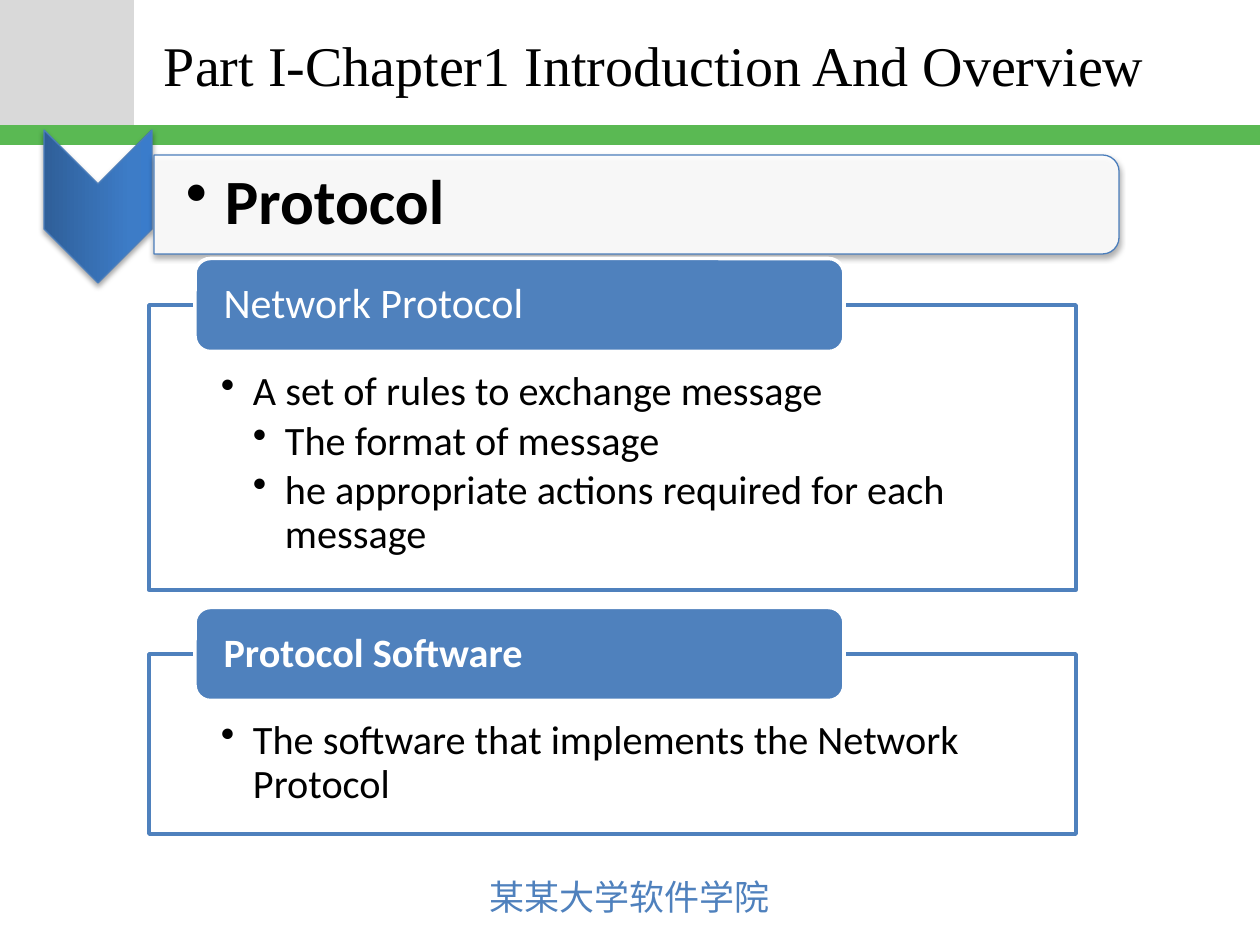
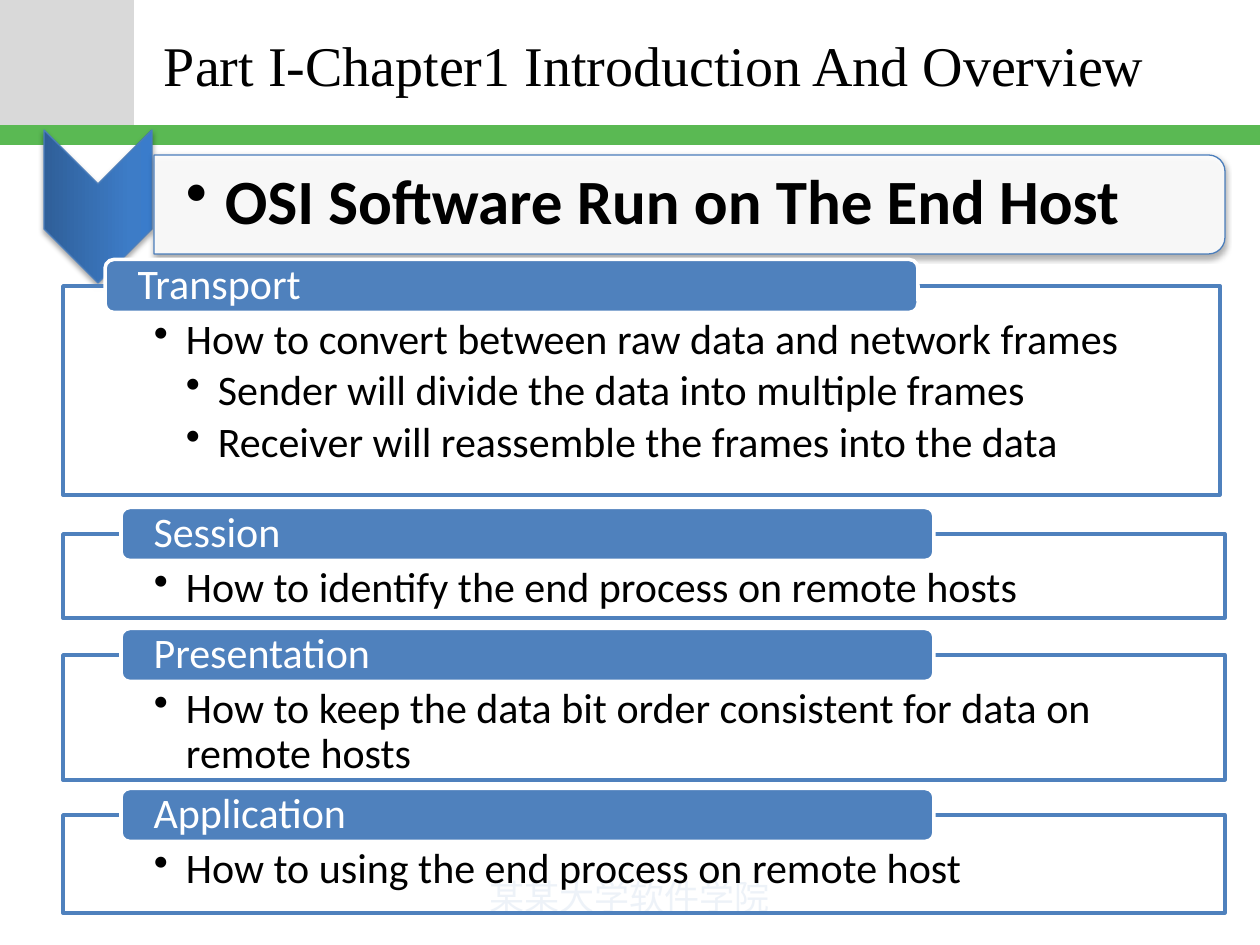
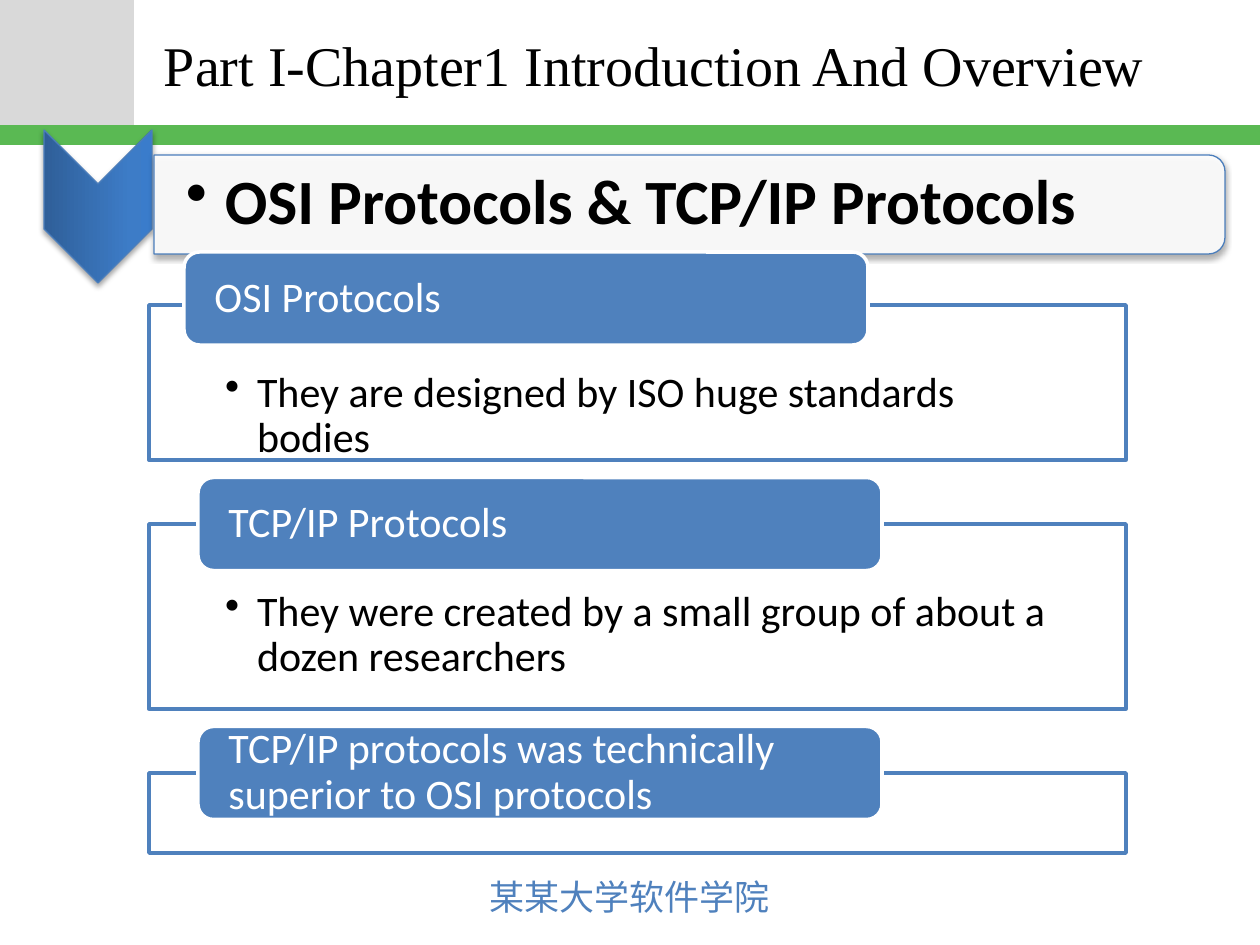
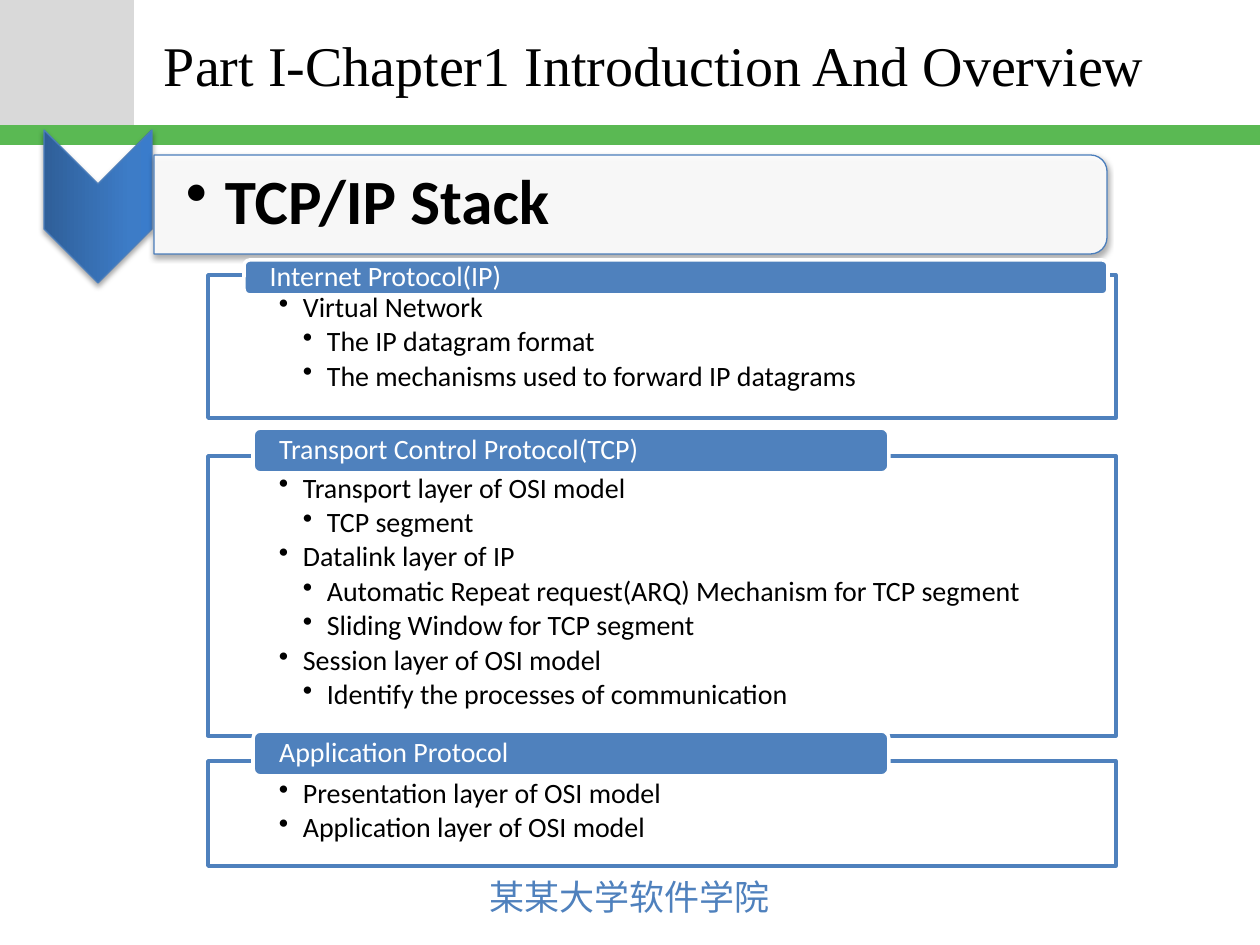
import copy

import pptx
import pptx.dml.color
import pptx.enum.shapes
import pptx.enum.text
import pptx.oxml
import pptx.oxml.ns
import pptx.util

PX = 914400 / 126
SHAPE = pptx.enum.shapes.MSO_SHAPE
ANCHOR = pptx.enum.text.MSO_ANCHOR

GREY, GREEN, BLUE, EDGE = "D9D9D9", "5AB953", "4F81BD", "4B7EBC"
WHITE, BLACK = "FFFFFF", "000000"
CHEVRON_STOPS = [(0, "2F5F99"), (0.8, "3D7CC7"), (1, "3A7CCB")]
TITLE = "Part I-Chapter1 Introduction And Overview"
FOOTER = "某某大学软件学院"

SLIDES = [
    dict(
        heading="Protocol", heading_width=965,
        left=149, width=927, tab=(195, 649, 93), size=23, indent=32,
        panel_insets=(72, 66, 72, 23), tab_inset=24,
        sections=[
            dict(top=305, height=285, label="Network Protocol", label_size=24, lines=[
                (1, "A set of rules to exchange message"),
                (2, "The format of message"),
                (2, "he appropriate actions required for each message")]),
            dict(top=654, height=180, label="Protocol Software", bold=True, lines=[
                (1, "The software that implements the Network Protocol")]),
        ]),
    dict(
        heading="OSI Software Run on The End Host", heading_width=1071,
        left=63, width=1162, tab=(121, 813, 53), size=24, indent=32,
        panel_insets=(91, 32, 91, 24), tab_inset=30,
        sections=[
            dict(top=286, height=209, width=1157, tab=(105, 813, 53), label="Transport", lines=[
                (1, "How to convert between raw data and network frames"),
                (2, "Sender will divide the data into multiple frames"),
                (2, "Receiver will reassemble the frames into the data")]),
            dict(top=534, height=84, label="Session", lines=[
                (1, "How to identify the end process on remote hosts")]),
            dict(top=655, height=125, label="Presentation", lines=[
                (1, "How to keep the data bit order consistent for data on remote hosts")]),
            dict(top=815, height=98, label="Application", lines=[
                (1, "How to using the end process on remote host")]),
        ]),
    dict(
        heading="OSI Protocols & TCP/IP Protocols", heading_width=1071,
        left=149, width=977, tab=(198, 684, 93), size=24, indent=32,
        panel_insets=(76, 66, 76, 24), tab_inset=26,
        sections=[
            dict(top=305, height=155, tab=(184, 684, 93), rise=53, label="OSI Protocols", lines=[
                (1, "They are designed by ISO huge standards bodies")]),
            dict(top=524, height=185, label="TCP/IP Protocols", lines=[
                (1, "They were created by a small group of about a dozen researchers")]),
            dict(top=773, height=80, lines=[],
                 label="TCP/IP protocols was technically superior to OSI protocols"),
        ]),
    dict(
        heading="TCP/IP Stack", heading_width=953,
        left=208, width=908, tab=(253, 636, 45), size=16, indent=24,
        panel_insets=(71, 18, 71, 15), tab_inset=24,
        sections=[
            dict(top=275, height=143, tab=(244, 864, 35), rise=15,
                 label="Internet Protocol(IP)", lines=[
                     (1, "Virtual Network"),
                     (2, "The IP datagram format"),
                     (2, "The mechanisms used to forward IP datagrams")]),
            dict(top=456, height=280, rise=28, label="Transport Control Protocol(TCP)", lines=[
                (1, "Transport layer of OSI model"),
                (2, "TCP segment"),
                (1, "Datalink layer of IP"),
                (2, "Automatic Repeat request(ARQ) Mechanism for TCP segment"),
                (2, "Sliding Window for TCP segment"),
                (1, "Session layer of OSI model"),
                (2, "Identify the processes of communication")]),
            dict(top=761, height=105, rise=30, label="Application Protocol", lines=[
                (1, "Presentation layer of OSI model"),
                (1, "Application layer of OSI model")]),
        ]),
]


def px(length):
    return round(length * PX)


def rgb(code):
    return pptx.dml.color.RGBColor.from_string(code)


def child(parent, tag, **attributes):
    element = pptx.oxml.parse_xml(f"<a:{tag} {pptx.oxml.ns.nsdecls('a')}/>")
    for name, value in attributes.items():
        element.set(name, str(value))
    parent.append(element)
    return element


def write(shape, lines, font="Calibri", size=24, color=BLACK, bold=False, indent=0,
          insets=(13, 6, 13, 6), anchor=ANCHOR.TOP, wrap=True, spacing=None, after=0):
    frame = shape.text_frame
    frame.word_wrap = wrap
    frame.vertical_anchor = anchor
    frame.margin_left, frame.margin_top, frame.margin_right, frame.margin_bottom = map(px, insets)
    for number, (level, text) in enumerate(lines):
        para = frame.add_paragraph() if number else frame.paragraphs[0]
        para.alignment = pptx.enum.text.PP_ALIGN.LEFT
        para.level = level
        if spacing:
            para.line_spacing = spacing
        settings = para._p.get_or_add_pPr()
        if after:
            child(child(settings, "spcAft"), "spcPct", val=after * 1000)
        if level:
            settings.set("marL", str(px(indent * level)))
            settings.set("indent", str(px(-indent)))
            child(settings, "buChar", char="•")
        span = para.add_run()
        span.text = text
        span.font.size = pptx.util.Pt(size)
        span.font.bold = bold
        span.font.name = font
        span.font.color.rgb = rgb(color)
        child(span._r.get_or_add_rPr(), "ea", typeface=font)


def add_box(page, left, top, width, height):
    return page.shapes.add_textbox(px(left), px(top), px(width), px(height))


def add_shape(page, kind, left, top, width, height, fill=None, alpha=None,
              line=None, line_width=2, turned=False):
    if turned:
        left, top = left + (width - height) / 2, top + (height - width) / 2
        width, height = height, width
    shape = page.shapes.add_shape(kind, px(left), px(top), px(width), px(height))
    shape.rotation = 90 if turned else 0
    shape.shadow.inherit = False
    if fill:
        shape.fill.solid()
        shape.fill.fore_color.rgb = rgb(fill)
    if alpha:
        child(shape._element.xpath("./p:spPr/a:solidFill/a:srgbClr")[0], "alpha", val=alpha * 1000)
    if line:
        shape.line.color.rgb = rgb(line)
        shape.line.width = pptx.util.Pt(line_width)
    else:
        shape.line.fill.background()
    return shape


def add_shadow(shape):
    effects = shape._element.xpath("./p:spPr/a:effectLst")[0]
    shadow = child(effects, "outerShdw", blurRad=40000, dist=23000, dir=5400000, rotWithShape=0)
    child(child(shadow, "srgbClr", val=BLACK), "alpha", val=35000)


def add_frame(page):
    add_shape(page, SHAPE.RECTANGLE, 0, 0, 134, 125, fill=GREY)
    add_shape(page, SHAPE.RECTANGLE, 0, 125, 1260, 20, fill=GREEN)
    write(add_box(page, 476, 869, 309, 55), [(0, FOOTER)],
          font="Noto Sans CJK JP", size=20, color=BLUE, wrap=False)
    write(add_box(page, 151, 3, 1084, 123), [(0, TITLE)],
          font="Times New Roman", size=32, anchor=ANCHOR.MIDDLE)


def add_heading(page, text, width):
    chevron = add_shape(page, SHAPE.CHEVRON, 44, 130, 108, 153,
                        line=EDGE, line_width=0.75, turned=True)
    chevron.fill.gradient()
    chevron.fill.gradient_angle = 90
    stops = chevron._element.xpath("./p:spPr/a:gradFill/a:gsLst")[0]
    stops.append(copy.deepcopy(stops[-1]))
    for stop, (position, color) in zip(chevron.fill.gradient_stops, CHEVRON_STOPS):
        stop.position = position
        stop.color.rgb = rgb(color)
    add_shadow(chevron)
    bar = add_shape(page, SHAPE.ROUND_2_SAME_RECTANGLE, 154, 155, width, 99, fill=WHITE,
                    alpha=90, line=EDGE, line_width=0.75, turned=True)
    add_shadow(bar)
    write(add_box(page, 154, 160, width - 4, 89), [(1, text)], size=36, bold=True, indent=39,
          insets=(32, 3, 3, 3), anchor=ANCHOR.MIDDLE, spacing=0.9, after=15)


def add_section(page, style, section):
    panel = add_shape(page, SHAPE.RECTANGLE, style["left"], section["top"],
                      section.get("width", style["width"]), section["height"],
                      fill=WHITE, alpha=90, line=BLUE)
    if section["lines"]:
        write(panel, section["lines"], size=style["size"], indent=style["indent"],
              insets=style["panel_insets"], spacing=0.9, after=15)
    left, width, height = section.get("tab", style["tab"])
    rise = section.get("rise", height / 2)
    tab = add_shape(page, SHAPE.ROUNDED_RECTANGLE, left, section["top"] - rise, width, height,
                    fill=BLUE, line=WHITE)
    inset = style["tab_inset"]
    write(tab, [(0, section["label"])], size=section.get("label_size", style["size"]),
          color=WHITE, bold=section.get("bold", False), insets=(inset, 0, inset, 0),
          anchor=ANCHOR.MIDDLE, spacing=0.9, after=35)


def main():
    deck = pptx.Presentation()
    deck.slide_width, deck.slide_height = px(1260), px(945)
    for style in SLIDES:
        page = deck.slides.add_slide(deck.slide_layouts[6])
        add_frame(page)
        add_heading(page, style["heading"], style["heading_width"])
        for section in style["sections"]:
            add_section(page, style, section)
    deck.save("out.pptx")


if __name__ == "__main__":
    main()
